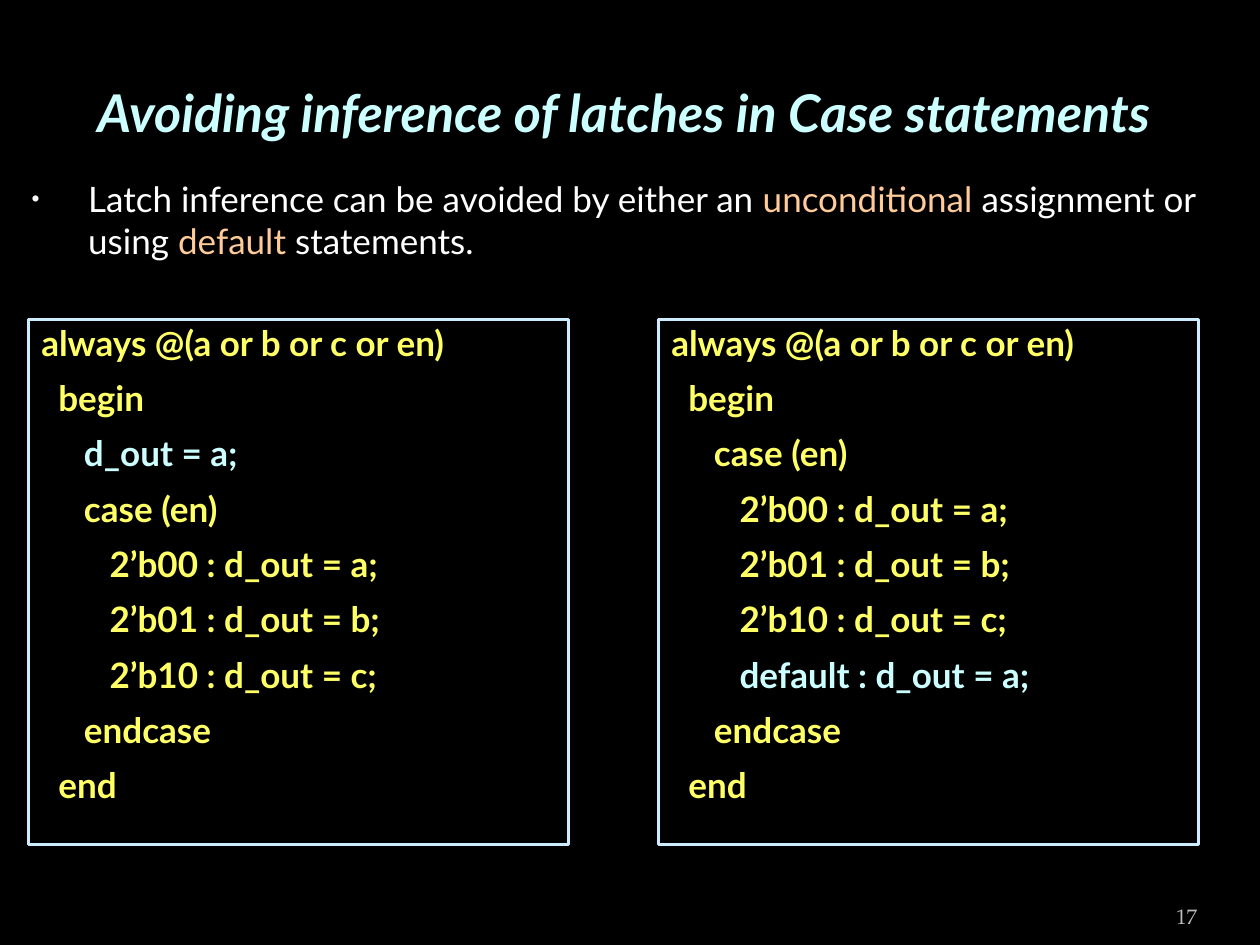
import pptx
import pptx.dml.color
import pptx.enum.shapes
import pptx.enum.text
import pptx.oxml
import pptx.oxml.ns
import pptx.util

Pt = pptx.util.Pt
RGB = pptx.dml.color.RGBColor.from_string
ALIGN = pptx.enum.text.PP_ALIGN
ANCHOR = pptx.enum.text.MSO_ANCHOR

COLORS = {
    "back": "000000", "title": "CCFFFF", "text": "FFFFFF", "accent": "FFCC99",
    "bullet": "F9F9F9", "code": "FFFF66", "key": "CCFFFF", "border": "CCECFF",
    "number": "BDBDBD",
}
FORMATS = {
    "title": {"name": "Lato", "size": Pt(29.7), "bold": True, "italic": True},
    "body": {"name": "Lato", "size": Pt(20), "bold": False},
    "code": {"name": "Lato", "size": Pt(20), "bold": True},
    "number": {"name": "TeX Gyre Pagella", "size": Pt(12)},
}
INDENTS = [0, 9.75, 24.4, 39]

CASES = [(3, "2’b00 : d_out = a;", "code"),
         (3, "2’b01 : d_out = b;", "code"),
         (3, "2’b10 : d_out = c;", "code")]
HEAD = [(0, "always @(a or b or c or en)", "code"), (1, "begin", "code")]
OPEN = [(2, "case (en)", "code")]
TAIL = [(2, "endcase", "code"), (1, "end", "code")]
UNCONDITIONAL = HEAD + [(2, "d_out = a;", "key")] + OPEN + CASES + TAIL
DEFAULT = HEAD + OPEN + CASES + [(3, "default : d_out = a;", "key")] + TAIL


def set_attrs(obj, values):
    for name, value in values.items():
        setattr(obj, name, value)


def place(sp, box):
    set_attrs(sp, dict(zip(("left", "top", "width", "height"), map(Pt, box))))


def add_run(p, text, style, color):
    r = p.add_run()
    r.text = text
    set_attrs(r.font, FORMATS[style])
    r.font.color.rgb = RGB(COLORS[color])


def set_bullet(p, left, hanging):
    pPr = p._p.get_or_add_pPr()
    pPr.set("marL", str(Pt(left)))
    pPr.set("indent", str(-Pt(hanging)))
    ns = pptx.oxml.ns.nsdecls("a")
    for xml in (
        f'<a:buClr {ns}><a:srgbClr val="{COLORS["bullet"]}"/></a:buClr>',
        f'<a:buSzPct {ns} val="65000"/>',
        f'<a:buChar {ns} char="•"/>',
    ):
        pPr.append(pptx.oxml.parse_xml(xml))


def fill_title(s, box):
    sp = s.shapes.title
    place(sp, box)
    tf = sp.text_frame
    set_attrs(tf, {"vertical_anchor": ANCHOR.MIDDLE, "word_wrap": True,
                   "auto_size": pptx.enum.text.MSO_AUTO_SIZE.NONE})
    p = tf.paragraphs[0]
    p.alignment = ALIGN.CENTER
    add_run(p, "Avoiding inference of latches in Case statements ", "title", "title")


def fill_body(s, box):
    sp = s.placeholders[1]
    place(sp, box)
    tf = sp.text_frame
    tf.auto_size = pptx.enum.text.MSO_AUTO_SIZE.NONE
    p = tf.paragraphs[0]
    p.space_before = Pt(4)
    set_bullet(p, 43.2, 32.4)
    for text, color in (
        ("Latch inference can be avoided by either an ", "text"),
        ("unconditional", "accent"),
        (" assignment or using ", "text"),
        ("default", "accent"),
        (" statements.", "text"),
    ):
        add_run(p, text, "body", color)


def add_code(s, box, lines):
    sp = s.shapes.add_shape(pptx.enum.shapes.MSO_SHAPE.RECTANGLE, *map(Pt, box))
    sp.shadow.inherit = False
    sp.fill.background()
    sp.line.color.rgb = RGB(COLORS["border"])
    sp.line.width = Pt(1.75)
    tf = sp.text_frame
    set_attrs(tf, {"word_wrap": True, "vertical_anchor": ANCHOR.TOP})
    for i, (level, text, color) in enumerate(lines):
        p = tf.add_paragraph() if i else tf.paragraphs[0]
        set_attrs(p, {"alignment": ALIGN.LEFT, "line_spacing": 0.9,
                      "space_before": Pt(10)})
        p._p.get_or_add_pPr().set("marL", str(Pt(INDENTS[level])))
        add_run(p, text, "code", color)


def add_number(s, box):
    tf = s.shapes.add_textbox(*map(Pt, box)).text_frame
    set_attrs(tf, {"word_wrap": True, "vertical_anchor": ANCHOR.BOTTOM,
                   "margin_left": 0, "margin_right": 0})
    p = tf.paragraphs[0]
    p.alignment = ALIGN.RIGHT
    add_run(p, "17", "number", "number")


def main():
    prs = pptx.Presentation()
    set_attrs(prs, {"slide_width": Pt(720), "slide_height": Pt(540)})
    s = prs.slides.add_slide(prs.slide_layouts[1])
    s.background.fill.solid()
    s.background.fill.fore_color.rgb = RGB(COLORS["back"])
    fill_title(s, (36, 31, 648, 66))
    fill_body(s, (0, 98, 720, 78))
    for i, lines in enumerate((UNCONDITIONAL, DEFAULT)):
        add_code(s, (16.5 + 360 * i, 182.75, 308.5, 300), lines)
    add_number(s, (624, 505.5, 60, 28.5))
    prs.save("out.pptx")


if __name__ == "__main__":
    main()
